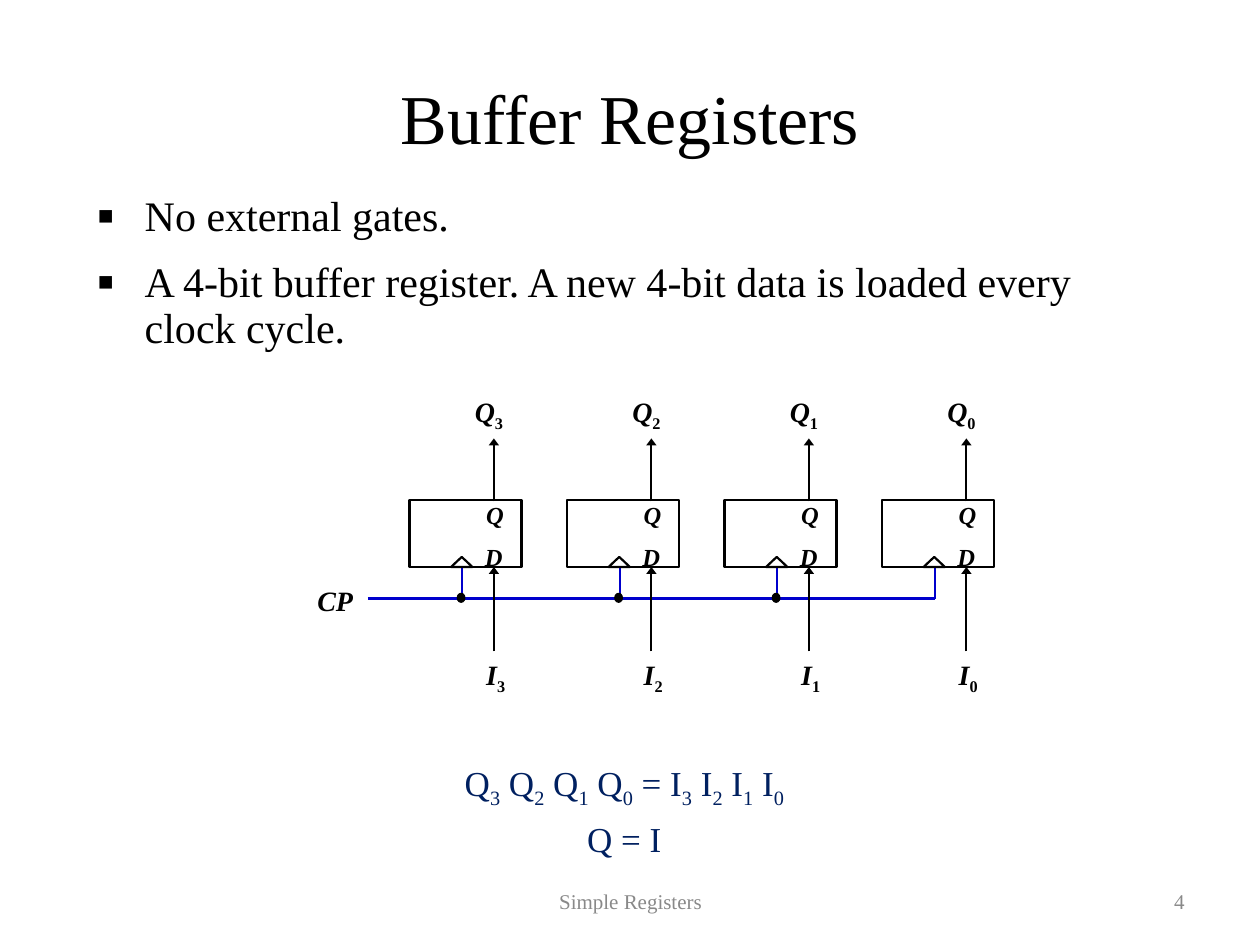
from lxml.etree import SubElement
from pptx import Presentation
from pptx.dml.color import RGBColor as RGB
from pptx.enum.shapes import MSO_CONNECTOR as LINK, MSO_SHAPE as SHAPE
from pptx.enum.text import MSO_ANCHOR as ANCHOR, MSO_AUTO_SIZE as FIT, PP_ALIGN as ALIGN
from pptx.oxml.ns import qn
from pptx.util import Inches, Pt

COLORS = {"ink": "000000", "clock": "0000CC", "equation": "002060", "footer": "898989"}


class RegisterSlide:
    font = "Times New Roman"

    def __init__(self, deck):
        self.slide = deck.slides.add_slide(deck.slide_layouts[6])

    def text(self, box, lines, size, color="ink", align=ALIGN.LEFT, anchor=ANCHOR.TOP,
             wrap=True, strong=False, spacing=None, before=0):
        frame = self.slide.shapes.add_textbox(*map(Inches, box)).text_frame
        frame.word_wrap = wrap
        frame.vertical_anchor = anchor
        for number, line in enumerate(lines):
            paragraph = frame.paragraphs[0] if number == 0 else frame.add_paragraph()
            paragraph.alignment = align
            paragraph.line_spacing = spacing
            paragraph.space_before = Pt(before)
            for position, part in enumerate(line.split("|")):
                if not part:
                    continue
                subscript = position % 2 == 1
                run = paragraph.add_run()
                run.text = part
                run.font.name = self.font
                run.font.size = Pt(size)
                run.font.color.rgb = RGB.from_string(COLORS[color])
                run.font.bold = strong
                run.font.italic = strong and not subscript
                if subscript:
                    run.font._element.set("baseline", "-25000")
        return frame

    def label(self, box, wording, size):
        frame = self.text(box, [wording], size, wrap=False, strong=True)
        frame.auto_size = FIT.SHAPE_TO_FIT_TEXT

    def bullets(self, box, points, size):
        frame = self.text(box, points, size, spacing=0.9, before=12)
        for paragraph in frame.paragraphs:
            properties = paragraph._p.get_or_add_pPr()
            properties.set("marL", str(Inches(0.38)))
            properties.set("indent", str(Inches(-0.38)))
            bullet_color = SubElement(properties, qn("a:buClr"))
            SubElement(bullet_color, qn("a:srgbClr"), val=COLORS["ink"])
            SubElement(properties, qn("a:buSzPct"), val="120000")
            SubElement(properties, qn("a:buFont"), typeface=self.font)
            SubElement(properties, qn("a:buChar"), char="▪")

    def wire(self, start, end, color="ink", arrow=False):
        wire = self.slide.shapes.add_connector(LINK.STRAIGHT, *map(Inches, start + end))
        wire.line.color.rgb = RGB.from_string(COLORS[color])
        wire.line.width = Pt(1.25)
        if arrow:
            SubElement(wire.line._get_or_add_ln(), qn("a:tailEnd"),
                       type="triangle", w="med", len="sm")
        SubElement(wire._element.spPr, qn("a:effectLst"))

    def outline(self, kind, box, width, filled=False):
        outline = self.slide.shapes.add_shape(kind, *map(Inches, box))
        outline.shadow.inherit = False
        if filled:
            outline.fill.solid()
            outline.fill.fore_color.rgb = RGB.from_string(COLORS["ink"])
        else:
            outline.fill.background()
        outline.line.color.rgb = RGB.from_string(COLORS["ink"])
        outline.line.width = Pt(width)

    def flip_flop(self, left, bit):
        clock, data = left + 0.42, left + 0.67
        self.wire((clock, 4.5), (clock, 4.75), "clock")
        self.wire((data, 5.17), (data, 4.5), arrow=True)
        self.wire((data, 3.98), (data, 3.48), arrow=True)
        if bit:
            self.outline(SHAPE.OVAL, (clock - 0.04, 4.71, 0.06, 0.07), 0.75, filled=True)
        self.outline(SHAPE.RECTANGLE, (left, 3.97, 0.89, 0.53), 1.5)
        self.outline(SHAPE.ISOSCELES_TRIANGLE, (clock - 0.09, 4.42, 0.17, 0.08), 1.25)
        self.label((data - 0.25, 3.08, 0.43, 0.41), f"Q|{bit}", 16)
        self.label((data - 0.16, 3.92, 0.34, 0.34), "Q", 14)
        self.label((data - 0.17, 4.25, 0.34, 0.34), "D", 14)
        self.label((data - 0.16, 5.17, 0.35, 0.41), f"I|{bit}", 16)


def main():
    deck = Presentation()
    deck.slide_width, deck.slide_height = Inches(10), Inches(7.5)
    page = RegisterSlide(deck)
    page.text((0.5, 0.3, 9, 1.25), ["Buffer Registers"], 40,
              align=ALIGN.CENTER, anchor=ANCHOR.MIDDLE)
    page.bullets((0.67, 1.5, 8.42, 1.42), [
        "No external gates.",
        "A 4-bit buffer register. A new 4-bit data is loaded every clock cycle.",
    ], 24)

    page.wire((2.92, 4.75), (7.42, 4.75), "clock")
    page.label((2.42, 4.58, 0.48, 0.37), "CP", 16)
    for column, bit in enumerate((3, 2, 1, 0)):
        page.flip_flop(3.25 + 1.25 * column, bit)

    page.text((2.83, 6, 4.25, 0.88), ["Q|3| Q|2| Q|1| Q|0| = I|3| I|2| I|1| I|0", "Q = I"],
              20, "equation", ALIGN.CENTER, spacing=0.9, before=10)
    page.text((3.42, 6.95, 3.17, 0.4), ["Simple Registers"], 12, "footer",
              ALIGN.CENTER, ANCHOR.MIDDLE, before=7.5)
    page.text((7.17, 6.95, 2.33, 0.4), ["4"], 12, "footer",
              ALIGN.RIGHT, ANCHOR.MIDDLE, before=7.5)
    deck.save("out.pptx")


if __name__ == "__main__":
    main()
